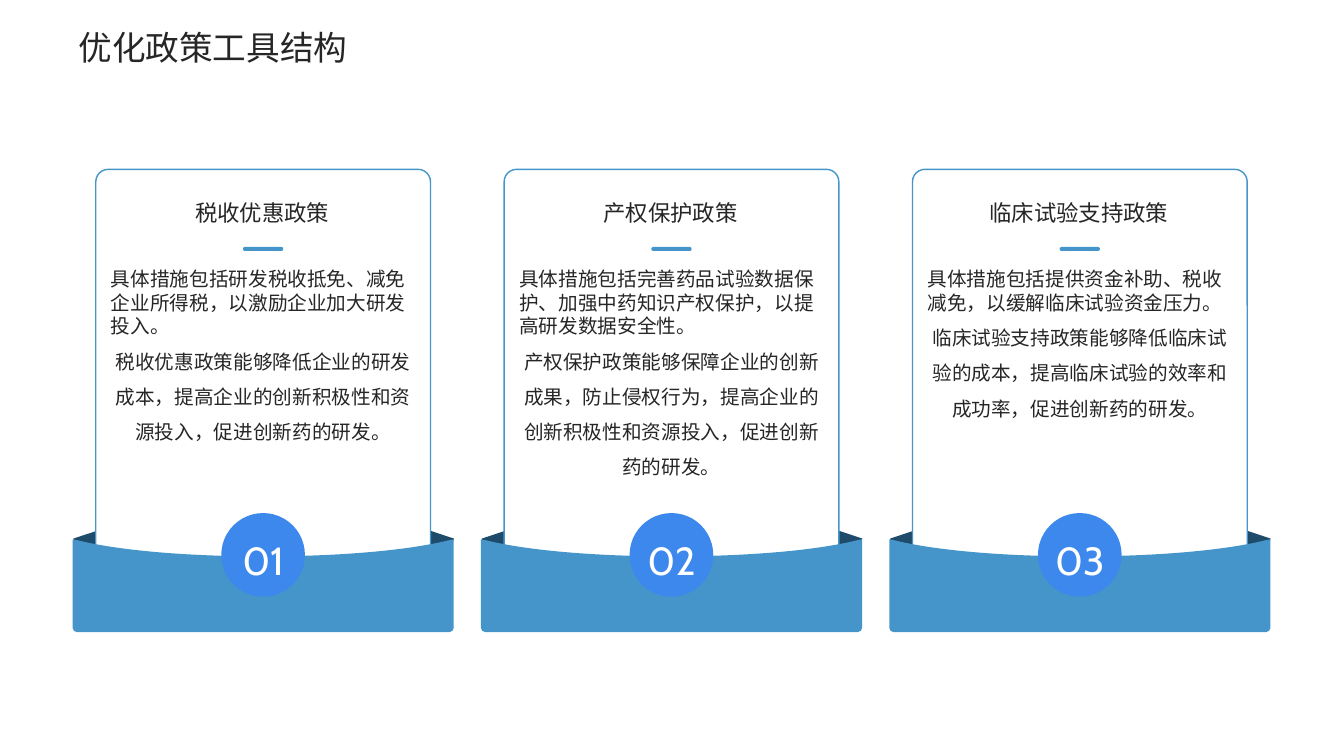
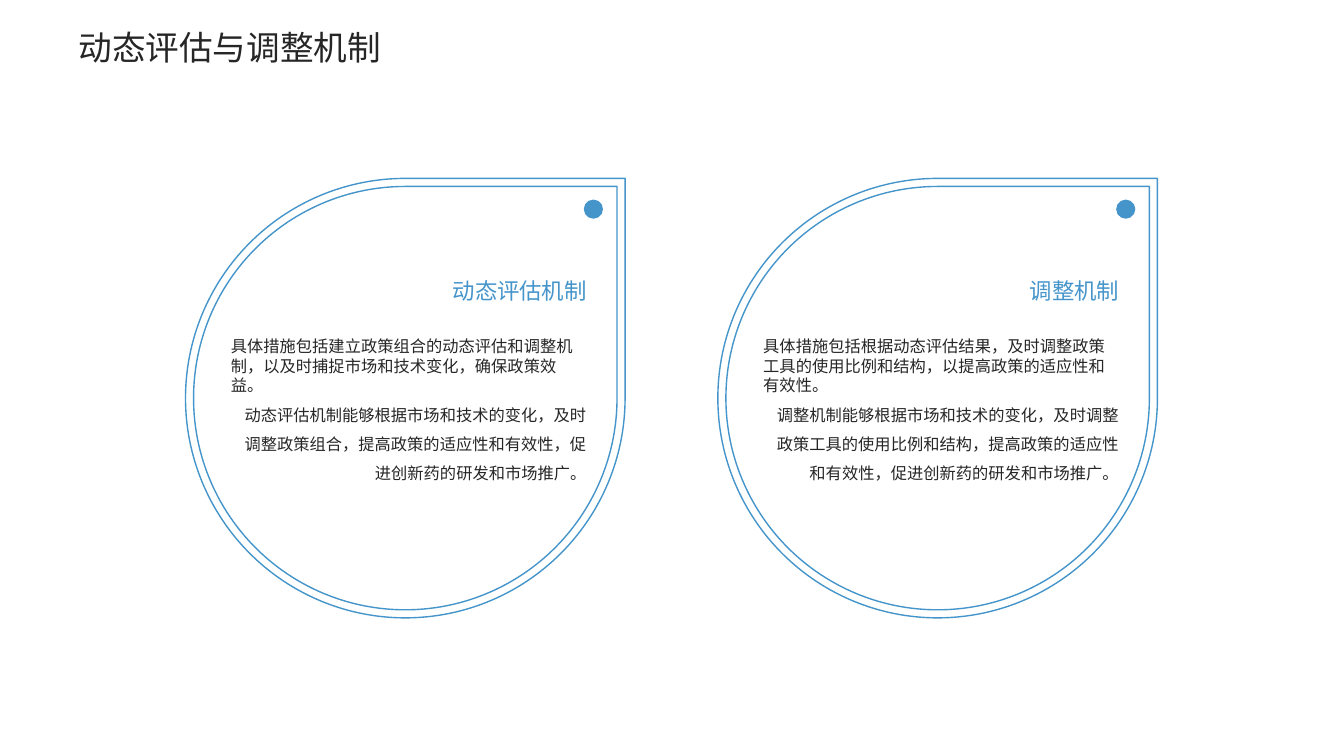
from dataclasses import dataclass

from lxml import etree
from pptx import Presentation
from pptx import util as u
from pptx.dml.color import RGBColor
from pptx.enum import shapes, text
from pptx.oxml.ns import qn

SHAPE = shapes.MSO_SHAPE
ALIGN = text.PP_ALIGN
ANCHOR = text.MSO_ANCHOR


@dataclass(frozen=True)
class Theme:
    ink: str = "262626"
    blue: str = "4595CB"
    fold: str = "1E4B6A"
    badge: str = "3C88ED"
    white: str = "FFFFFF"
    body_font: str = "Noto Sans CJK SC"
    number_font: str = "Cabin"
    title: float = 24
    heading: float = 16
    card_body: float = 14
    drop_body: float = 11.6
    number: float = 28
    outline: float = 1


T = Theme()

WIDTH, HEIGHT = 13.33, 7.5
CARD_LEFT, CARD_PITCH, CARD_WIDTH = 0.72, 4.05, 3.78
DROP_LEFT, DROP_PITCH, DROP_SIZE = 1.84, 5.28, 4.36
DROP_TOP = 1.77

CARDS = [
    ("税收优惠政策",
     "具体措施包括研发税收抵免、减免企业所得税，以激励企业加大研发投入。",
     "税收优惠政策能够降低企业的研发成本，提高企业的创新积极性和资源投入，促进创新药的研发。"),
    ("产权保护政策",
     "具体措施包括完善药品试验数据保护、加强中药知识产权保护，以提高研发数据安全性。",
     "产权保护政策能够保障企业的创新成果，防止侵权行为，提高企业的创新积极性和资源投入，促进创新药的研发。"),
    ("临床试验支持政策",
     "具体措施包括提供资金补助、税收减免，以缓解临床试验资金压力。",
     "临床试验支持政策能够降低临床试验的成本，提高临床试验的效率和成功率，促进创新药的研发。"),
]

DROPS = [
    ("动态评估机制",
     "具体措施包括建立政策组合的动态评估和调整机制，以及时捕捉市场和技术变化，确保政策效益。",
     "动态评估机制能够根据市场和技术的变化，及时调整政策组合，提高政策的适应性和有效性，促进创新药的研发和市场推广。"),
    ("调整机制",
     "具体措施包括根据动态评估结果，及时调整政策工具的使用比例和结构，以提高政策的适应性和有效性。",
     "调整机制能够根据市场和技术的变化，及时调整政策工具的使用比例和结构，提高政策的适应性和有效性，促进创新药的研发和市场推广。"),
]


def paint(sp, fill, line=None):
    sp.shadow.inherit = False
    sp.fill.solid()
    sp.fill.fore_color.rgb = RGBColor.from_string(fill)
    if line:
        sp.line.color.rgb = RGBColor.from_string(line)
        sp.line.width = u.Pt(T.outline)
    else:
        sp.line.fill.background()


def add_shape(s, kind, x, y, w, h, fill, line=None, corner=None):
    sp = s.shapes.add_shape(kind, *map(u.Inches, (x, y, w, h)))
    paint(sp, fill, line)
    if corner is not None:
        sp.adjustments[0] = corner
    return sp


def add_text(s, x, y, w, h, paragraphs, size, color=T.ink, font=T.body_font,
             anchor=ANCHOR.TOP, inset=0):
    """Each paragraph is (wording, alignment, line spacing)."""
    tb = s.shapes.add_textbox(*map(u.Inches, (x, y, w, h)))
    tf = tb.text_frame
    tf.word_wrap = True
    tf.vertical_anchor = anchor
    tf.margin_left = tf.margin_right = u.Inches(inset)
    tf.margin_top = tf.margin_bottom = u.Inches(inset / 2)
    tf.text = "\n".join(wording for wording, _, _ in paragraphs)
    for p, (_, align, spacing) in zip(tf.paragraphs, paragraphs):
        p.alignment, p.line_spacing = align, spacing
        for r in p.runs:
            r.font.size = u.Pt(size)
            r.font.name = font
            r.font.color.rgb = RGBColor.from_string(color)
            etree.SubElement(r.font._element, qn("a:ea"), typeface=font)
    return tf


def add_body(s, x, y, w, h, measure, effect, align, size):
    """A tight left-aligned measure above its loosely set effect."""
    tf = add_text(s, x, y, w, h,
                  [(measure, ALIGN.LEFT, 1.0), (effect, align, 1.5)], size)
    tf.paragraphs[0]._p.get_or_add_pPr().set("hangingPunct", "0")


def add_slide(prs, title):
    s = prs.slides.add_slide(prs.slide_layouts[6])
    tf = add_text(s, 0.68, 0.18, 11.71, 0.46, [(title, ALIGN.LEFT, 1.1)],
                  T.title, inset=0.1)
    tf.auto_size = text.MSO_AUTO_SIZE.SHAPE_TO_FIT_TEXT
    return s


def bend(segment, controls):
    """Turn a straight freeform segment into a cubic curve."""
    curve = etree.Element(qn("a:cubicBezTo"))
    for px, py in controls:
        etree.SubElement(curve, qn("a:pt"),
                         x=str(u.Inches(px)), y=str(u.Inches(py)))
    curve.append(segment[0])
    segment.getparent().replace(segment, curve)


def add_pocket(s, x, y):
    """Front band with a sagging top edge and rounded lower corners."""
    w, h, sag, r = CARD_WIDTH, 0.92, 0.17, 0.04
    steps = [  # end point, then control points of a curve
        ((0.05, 0.01), None),
        ((w / 2, sag), [(0.45, 0.11), (1.13, sag)]),
        ((w - 0.05, 0.01), [(w - 1.13, sag), (w - 0.45, 0.11)]),
        ((w, 0), None),
        ((w, h - r), None),
        ((w - r, h), [(w, h - r / 2), (w - r / 2, h)]),
        ((r, h), None),
        ((0, h - r), [(r / 2, h), (0, h - r / 2)]),
    ]
    fb = s.shapes.build_freeform(u.Inches(x), u.Inches(y))
    fb.add_line_segments([(u.Inches(x + px), u.Inches(y + py))
                          for (px, py), _ in steps], close=True)
    sp = fb.convert_to_shape()
    paint(sp, T.blue)
    segments = list(sp._element.iter(qn("a:lnTo")))
    for segment, (_, controls) in zip(segments, steps):
        if controls:
            bend(segment, controls)


def add_fold(s, x, y, angle, flip=False):
    sp = add_shape(s, SHAPE.RIGHT_TRIANGLE, x, y, 0.39, 0.56, T.fold)
    sp.rotation = angle
    if flip:
        sp._element.spPr.xfrm.set("flipH", "1")


def add_card(s, index, heading, measure, effect):
    x = CARD_LEFT + index * CARD_PITCH
    mid = x + CARD_WIDTH / 2

    def centred(w):
        return mid - w / 2

    add_fold(s, x + 3.26, 5.16, 288.4, flip=True)
    add_fold(s, x + 0.14, 5.16, 71.6)
    add_shape(s, SHAPE.ROUNDED_RECTANGLE, centred(3.32), 1.68, 3.32, 4.51,
              T.white, T.blue, 0.037)
    add_pocket(s, x, 5.35)
    add_text(s, x + 0.36, 1.77, 3.04, 0.6,
             [(heading, ALIGN.CENTER, 1.3)], T.heading, anchor=ANCHOR.MIDDLE)
    add_shape(s, SHAPE.ROUNDED_RECTANGLE, centred(0.4), 2.45, 0.4, 0.04,
              T.blue, corner=0.5)
    add_body(s, centred(3.02), 2.65, 3.02, 2.31, measure, effect,
             ALIGN.CENTER, T.card_body)
    add_shape(s, SHAPE.OVAL, centred(0.83), 5.09, 0.83, 0.83, T.badge)
    add_text(s, centred(0.58), 5.22, 0.58, 0.57,
             [(f"{index + 1:02}", ALIGN.CENTER, 1.5)], T.number, T.white,
             T.number_font, ANCHOR.BOTTOM)


def add_drop(s, index, heading, measure, effect):
    x = DROP_LEFT + index * DROP_PITCH
    right = x + 3.98
    for inset in (0, 0.08):
        size = DROP_SIZE - 2 * inset
        add_shape(s, SHAPE.TEAR, x + inset, DROP_TOP + inset, size, size,
                  T.white, T.blue)
    add_shape(s, SHAPE.OVAL, x + 3.95, 1.98, 0.19, 0.19, T.blue)
    add_text(s, right - 3.16, 2.43, 3.16, 0.83, [(heading, ALIGN.RIGHT, 1.3)],
             T.heading, T.blue, anchor=ANCHOR.MIDDLE)
    add_body(s, right - 3.53, 3.34, 3.53, 1.5, measure, effect,
             ALIGN.RIGHT, T.drop_body)


def main():
    prs = Presentation()
    prs.slide_width, prs.slide_height = u.Inches(WIDTH), u.Inches(HEIGHT)
    for title, add_item, items in (
            ("优化政策工具结构", add_card, CARDS),
            ("动态评估与调整机制", add_drop, DROPS)):
        s = add_slide(prs, title)
        for i, item in enumerate(items):
            add_item(s, i, *item)
    prs.save("out.pptx")


if __name__ == "__main__":
    main()
